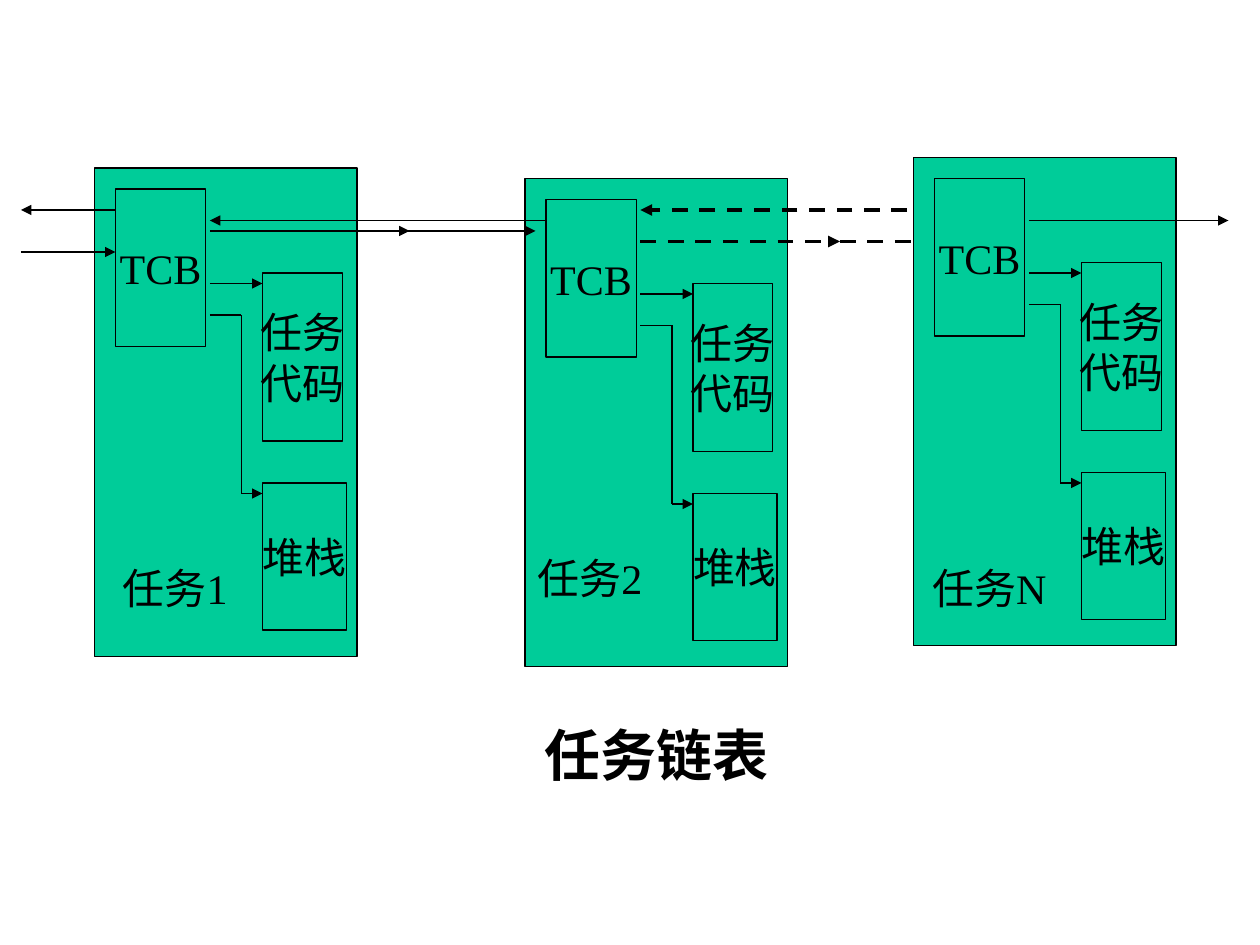
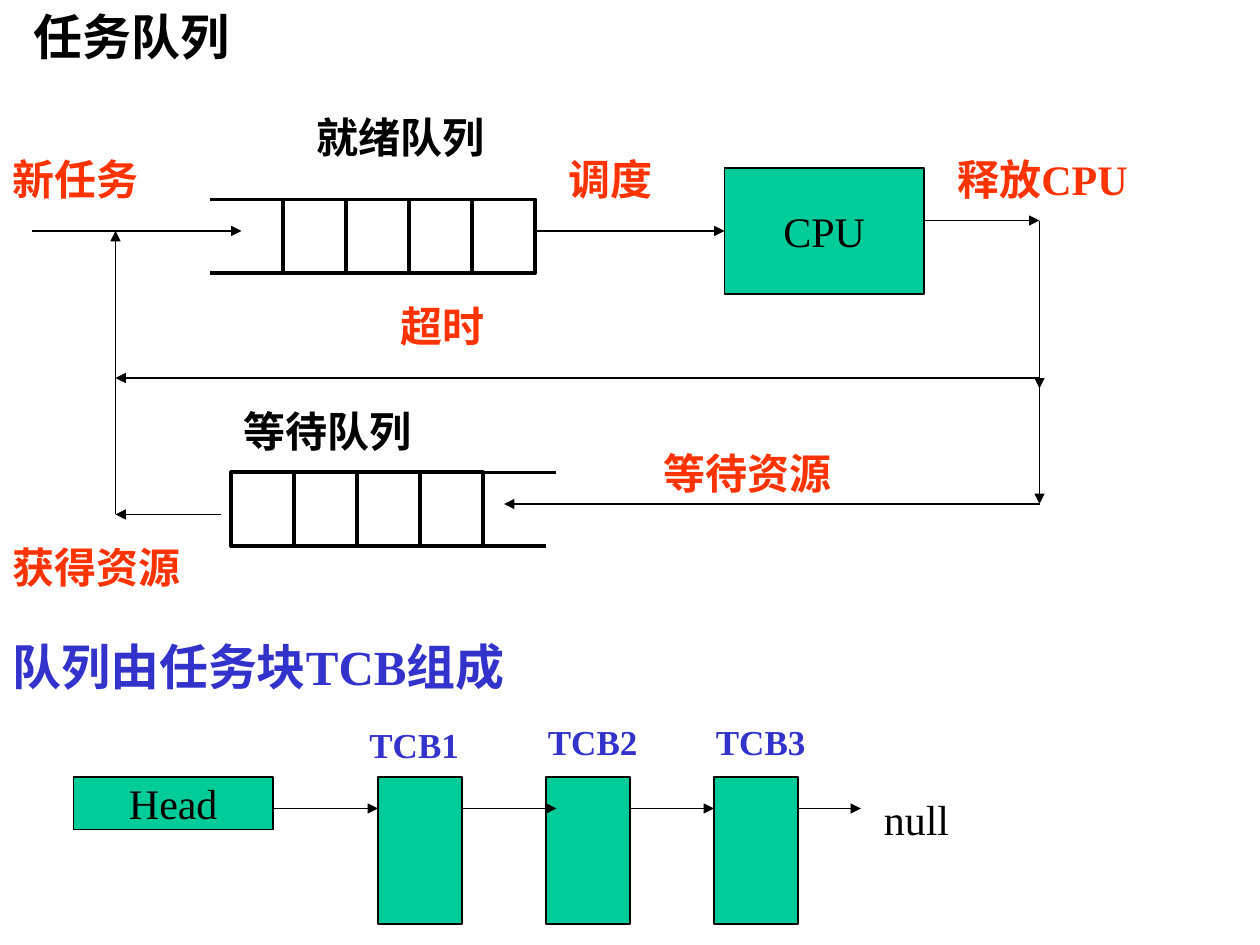
from dataclasses import dataclass
from itertools import pairwise
from typing import Any

from pptx import Presentation
from pptx.dml.color import RGBColor as Rgb
from pptx.enum.dml import MSO_LINE as Dash
from pptx.enum.shapes import MSO_CONNECTOR as Wire, MSO_SHAPE as Form
from pptx.enum.text import MSO_ANCHOR as Anchor, MSO_AUTO_SIZE as Fit, PP_ALIGN as Align
from pptx.oxml.ns import qn
from pptx.util import Inches, Pt
from lxml.etree import SubElement as Sub


@dataclass(frozen=True)
class Theme:
    """Colours, type sizes, line widths and grid shared by the slides."""
    ink: str = "000000"
    green: str = "00CC99"
    red: str = "FF3300"
    blue: str = "3333CC"
    font: str = "Times New Roman"
    small: int = 20
    body: int = 24
    head: int = 28
    large: int = 32
    thin: float = 0.75
    thick: float = 2.25
    width: float = 10
    height: float = 7.5
    cols: int = 120
    rows: int = 90


T = Theme()


def col(n):
    """Return the length of n grid columns."""
    return Inches(T.width * n / T.cols)


def row(n):
    """Return the length of n grid rows."""
    return Inches(T.height * n / T.rows)


def apply(item, values):
    """Set each named attribute of item."""
    for name, value in values.items():
        setattr(item, name, value)


def write(shape, text, size=T.body, hue=T.ink, bold=False, align=Align.LEFT,
          anchor=Anchor.TOP, wrap=True):
    """Fill a shape with text in the theme font."""
    frame = shape.text_frame
    frame.text = text
    apply(frame, {
        "auto_size": Fit.NONE, "word_wrap": wrap, "vertical_anchor": anchor,
        "margin_left": Inches(0.1), "margin_right": Inches(0.1),
        "margin_top": Inches(0.05), "margin_bottom": Inches(0.05)})
    for para in frame.paragraphs:
        para.alignment = align
        for run in para.runs:
            apply(run.font, {"name": T.font, "size": Pt(size), "bold": bold})
            run.font.color.rgb = Rgb.from_string(hue)


@dataclass
class Pane:
    """A region of a slide whose parts are placed from its corner."""
    slide: Any
    x: float = 0
    y: float = 0

    def area(self, x, y, w, h):
        """Return slide lengths for a box of grid units."""
        return col(self.x + x), row(self.y + y), col(w), row(h)

    def rect(self, box, text="", fill=T.green, weight=T.thin):
        """Draw an outlined rectangle with centred text."""
        shape = self.slide.shapes.add_shape(Form.RECTANGLE, *self.area(*box))
        shape.shadow.inherit = False
        if fill:
            shape.fill.solid()
            shape.fill.fore_color.rgb = Rgb.from_string(fill)
        else:
            shape.fill.background()
        shape.line.color.rgb = Rgb.from_string(T.ink)
        shape.line.width = Pt(weight)
        if text:
            write(shape, text, align=Align.CENTER, anchor=Anchor.MIDDLE, wrap=False)

    def label(self, box, text, **style):
        """Place a text box."""
        write(self.slide.shapes.add_textbox(*self.area(*box)), text, **style)

    def line(self, *ends, weight=T.thin, dash=None, arrow=True):
        """Draw a straight line with an optional arrowhead."""
        x1, y1, x2, y2 = ends
        wire = self.slide.shapes.add_connector(
            Wire.STRAIGHT, col(self.x + x1), row(self.y + y1),
            col(self.x + x2), row(self.y + y2))
        wire.line.color.rgb = Rgb.from_string(T.ink)
        apply(wire.line, {"width": Pt(weight), "dash_style": dash})
        props = wire._element.spPr
        if arrow:
            Sub(props.find(qn("a:ln")), qn("a:tailEnd"), type="triangle")
        Sub(props, qn("a:effectLst"))


def start(deck, title, box, size, align):
    """Add a slide with its title and return its full pane."""
    slide = deck.slides.add_slide(deck.slide_layouts[5])
    pane = Pane(slide)
    head = slide.shapes.title
    names = ("left", "top", "width", "height")
    apply(head, dict(zip(names, pane.area(*box))))
    write(head, title, size=size, bold=True, align=align)
    return pane


def task(pane, name, spot, links, **style):
    """Draw a task with its control block, code, stack and links."""
    pane.rect((0, 0, 25, 46.5))
    pane.rect((2, 2, 8.6, 15), "TCB")
    pane.rect((16, 10, 7.6, 16), "任务\n代码")
    pane.rect((16, 30, 8, 14), "堆栈")
    pane.label((*spot, 16, 6), name)
    pane.line(11, 11, 16, 11)
    bends = [(11, 14), (14, 14), (14, 31), (16, 31)]
    for a, b in pairwise(bends):
        pane.line(*a, *b, arrow=b == bends[-1])
    for link in [(11, 6, 30, 6), *links]:
        pane.line(*link, **style)


def chain(deck):
    """Build the slide of linked tasks."""
    page = start(deck, "任务链表", (30, 68, 65, 7.7), T.large, Align.CENTER)
    task(Pane(page.slide, 50, 17), "任务2", (0, 35),
         [(30, 6, 39, 6), (39, 3, 11, 3)], weight=T.thick, dash=Dash.DASH)
    task(Pane(page.slide, 9, 16), "任务1", (1.5, 37),
         [(-7, 8, 2, 8), (2, 4, -7, 4), (29, 6, 42, 6), (43, 5, 11, 5)])
    task(Pane(page.slide, 87, 15), "任务N", (0.6, 38), [])


def queue(pane, rails):
    """Draw four queue cells and the two rails of the open end."""
    for n in range(4):
        pane.rect((6 * n, 0, 6, 7), fill=None, weight=T.thick)
    for y, (a, b) in zip((0, 7), rails):
        pane.line(a, y, b, y, weight=T.thick, arrow=False)


def cycle(pane):
    """Draw the path of tasks between queues and processor."""
    queue(Pane(pane.slide, pane.x + 27, pane.y + 9), [(0, -7), (0, -7)])
    queue(Pane(pane.slide, pane.x + 22, pane.y + 35), [(24, 31), (23, 30)])
    pane.rect((69, 6, 19, 12), "CPU")
    for ends in [(51, 12, 69, 12), (3, 12, 23, 12), (88, 11, 99, 11),
                 (99, 11, 99, 27), (99, 26, 11, 26), (21, 39, 11, 39),
                 (11, 39, 11, 12), (99, 27, 99, 38), (99, 38, 48, 38)]:
        pane.line(*ends)
    for text, x, y, hue in [
            ("释放CPU", 90, 4, T.red), ("就绪队列", 29, 0, T.ink),
            ("调度", 53, 4, T.red), ("超时", 37, 18, T.red),
            ("等待队列", 22, 28, T.ink), ("等待资源", 62, 32, T.red),
            ("获得资源", 0, 41, T.red), ("新任务", 0, 4, T.red)]:
        pane.label((x, y, 23, 6), text, hue=hue, bold=True)


def blocks(pane):
    """Draw the linked list of control blocks."""
    pane.label((0, 0, 66, 7), "队列由任务块TCB组成", size=T.head, hue=T.blue, bold=True)
    pane.rect((7, 14, 19, 5), "Head")
    for n, (x, y) in enumerate([(34, 8.3), (51, 8), (67, 8)]):
        pane.rect((36 + 16 * n, 14, 8, 14))
        pane.label((x, y, 12, 5), f"TCB{n + 1}", size=T.small, hue=T.blue, bold=True)
    for a, b in [(26, 36), (44, 53), (60, 68), (76, 82)]:
        pane.line(a, 17, b, 17)
    pane.label((83, 15, 13, 6), "null")


def queues(deck):
    """Build the slide of task queues."""
    page = start(deck, "任务队列", (2, 0, 24, 7), T.head, Align.LEFT)
    cycle(Pane(page.slide, 0, 10))
    blocks(Pane(page.slide, 0, 60))


def main():
    """Build and save the slides."""
    deck = Presentation()
    apply(deck, {"slide_width": Inches(T.width), "slide_height": Inches(T.height)})
    chain(deck)
    queues(deck)
    deck.save("out.pptx")


if __name__ == "__main__":
    main()
